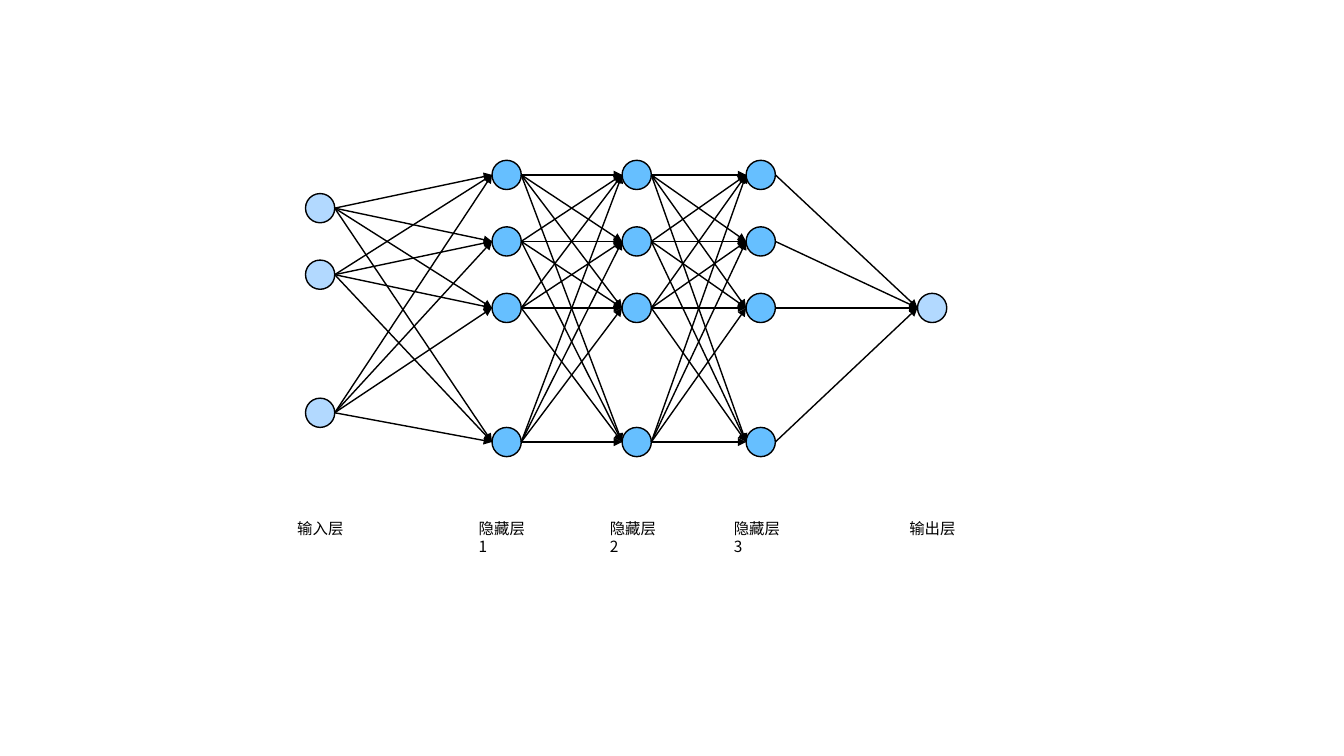
from lxml.etree import SubElement
from pptx import Presentation
from pptx.dml.color import RGBColor
from pptx.enum.shapes import MSO_CONNECTOR, MSO_SHAPE
from pptx.oxml.ns import qn
from pptx.util import Inches, Pt

# Content: label, left of the neurons, tops of the neurons, colour, label outdent
HIDDEN_TOPS = (1.59, 2.25, 2.91, 4.24)
LAYERS = [
    ("输入层", 3.03, (1.92, 2.58, 3.95), "outer", 0.18),
    ("隐藏层1", 4.88, HIDDEN_TOPS, "hidden", 0.23),
    ("隐藏层2", 6.17, HIDDEN_TOPS, "hidden", 0.22),
    ("隐藏层3", 7.4, HIDDEN_TOPS, "hidden", 0.22),
    ("输出层", 9.1, (2.91,), "outer", 0.18),
]
COLORS = {"outer": "B2D9FF", "hidden": "66BFFF", "ink": "000000"}
FONT = "Noto Sans CJK SC"
LABEL_FORMAT = {"name": FONT, "size": Pt(11)}
NEURON = 0.29
LABEL_TOP, LABEL_WIDTH, LABEL_HEIGHT = 5.1, 0.7, 0.29

deck = Presentation()
deck.slide_width, deck.slide_height = Inches(13.33), Inches(7.5)
slide = deck.slides.add_slide(deck.slide_layouts[6])


def color(name):
    return RGBColor.from_string(COLORS[name])


def outline(line):
    line.color.rgb = color("ink")
    line.width = Pt(1)


def add_neuron(left, top, fill):
    neuron = slide.shapes.add_shape(
        MSO_SHAPE.OVAL, *map(Inches, (left, top, NEURON, NEURON)))
    neuron.shadow.inherit = False
    neuron.fill.solid()
    neuron.fill.fore_color.rgb = color(fill)
    outline(neuron.line)


def add_arrow(*ends):
    arrow = slide.shapes.add_connector(MSO_CONNECTOR.STRAIGHT, *map(Inches, ends))
    outline(arrow.line)
    properties = arrow._element.spPr
    SubElement(properties.find(qn("a:ln")), qn("a:tailEnd"), type="triangle")
    SubElement(properties, qn("a:effectLst"))


def add_label(text, left):
    label = slide.shapes.add_textbox(
        *map(Inches, (left, LABEL_TOP, LABEL_WIDTH, LABEL_HEIGHT)))
    label.text_frame.word_wrap = True
    run = label.text_frame.paragraphs[0].add_run()
    run.text = text
    for key, value in LABEL_FORMAT.items():
        setattr(run.font, key, value)
    run.font.color.rgb = color("ink")
    SubElement(run._r.get_or_add_rPr(), qn("a:ea"), typeface=FONT)


# Neurons and layer labels
for text, left, tops, fill, outdent in LAYERS:
    for top in tops:
        add_neuron(left, top, fill)
    add_label(text, left - outdent)

# Arrows from every neuron to every neuron of the next layer
for (_, left, tops, *_), (_, next_left, next_tops, *_) in zip(LAYERS, LAYERS[1:]):
    for top in tops:
        for next_top in next_tops:
            add_arrow(left + NEURON, top + NEURON / 2,
                      next_left, next_top + NEURON / 2)

deck.save("out.pptx")
